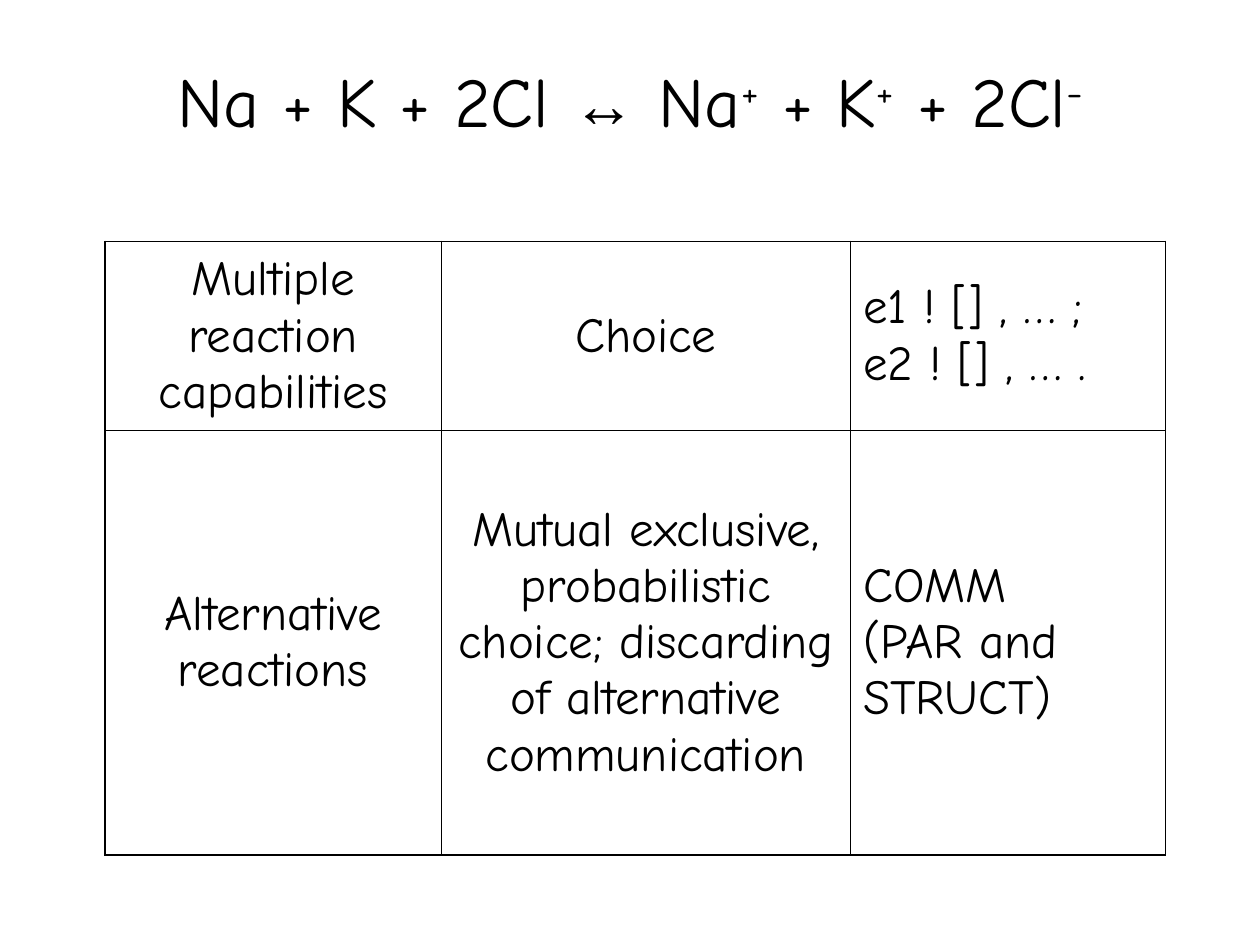
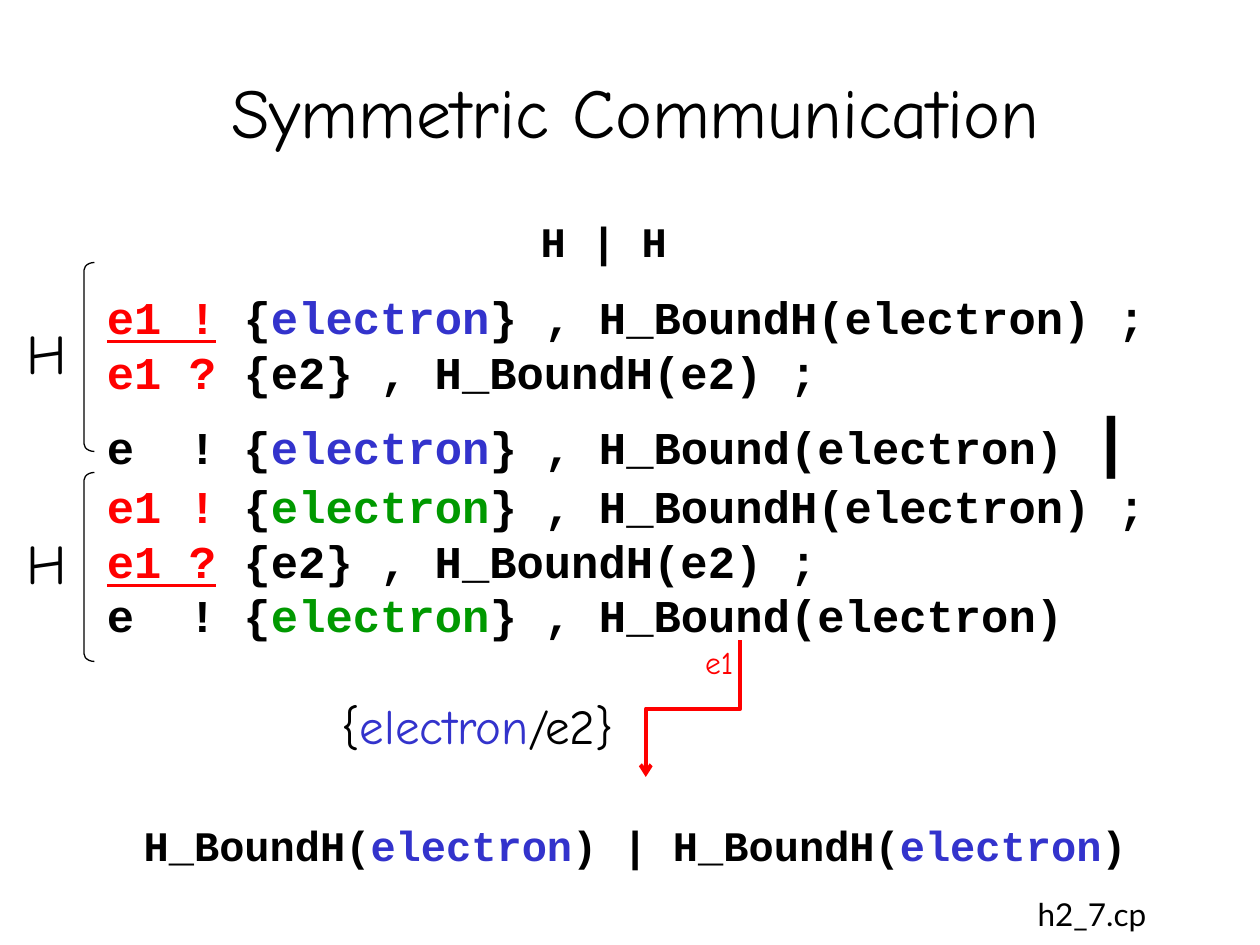
"""Build two slides on reaction choice and symmetric communication."""
import lxml.etree
import pptx
import pptx.dml.color
import pptx.enum.shapes
import pptx.enum.text
import pptx.oxml
import pptx.oxml.ns
import pptx.util

HUES = {"black": "000000", "red": "FF0000", "blue": "3333CC", "green": "009900"}
HAND, MONO, SANS = "Comic Neue", "Courier New", "Lato"
UNIT = pptx.util.Inches(10) / 120
ALIGN = pptx.enum.text.PP_ALIGN
ANCHOR = pptx.enum.text.MSO_ANCHOR


def grid(*cells):
    """Turn counts of grid cells (120 by 90 to a slide) into lengths."""
    return [pptx.util.Emu(round(cell * UNIT)) for cell in cells]


def hue(name):
    """Give the colour that a name stands for."""
    return pptx.dml.color.RGBColor.from_string(HUES[name])


def write(para, parts, size, face=HAND, bold=False, align=ALIGN.CENTER):
    """Fill a paragraph with parts, each a string or (string, *marks)."""
    para.alignment = align
    for part in parts:
        text, *marks = (part,) if isinstance(part, str) else part
        if text == "\n":
            para.add_line_break()
            continue
        run = para.add_run()
        run.text = text
        font = run.font
        font.name, font.size, font.bold = face, pptx.util.Pt(size), bold
        font.color.rgb = hue(next((m for m in marks if m in HUES), "black"))
        if "under" in marks:
            font.underline = True
        if "big" in marks:
            font.size = pptx.util.Pt(38)
        if "arrow" in marks:
            font.name, font.size = "Arial", pptx.util.Pt(36)
        if "sup" in marks:
            font._element.set("baseline", "30000")


def label(slide, box, parts, size, anchor=ANCHOR.MIDDLE, top=0.05, **style):
    """Place a text box on the grid."""
    frame = slide.shapes.add_textbox(*grid(*box)).text_frame
    frame.word_wrap = True
    frame.vertical_anchor = anchor
    frame.margin_top = pptx.util.Inches(top)
    write(frame.paragraphs[0], parts, size, **style)


def title(slide, box, parts):
    """Place a slide title."""
    label(slide, box, parts, 40)


def edge(cell, sides):
    """Draw the borders of a cell, given widths in points by side."""
    props = cell._tc.get_or_add_tcPr()
    for spot, (side, width) in enumerate(sides.items()):
        props.insert(spot, pptx.oxml.parse_xml(
            f'<a:ln{side} {pptx.oxml.ns.nsdecls("a")} w="{pptx.util.Pt(width)}">'
            f'<a:solidFill><a:srgbClr val="{HUES["black"]}"/></a:solidFill>'
            f'</a:ln{side}>'))


def table(slide, spot, cols, rows, texts):
    """Place a ruled table whose last column is set flush left."""
    box = grid(*spot, sum(cols), sum(rows))
    tab = slide.shapes.add_table(len(rows), len(cols), *box).table
    tab.first_row = tab.horz_banding = False
    for col, width in zip(tab.columns, grid(*cols)):
        col.width = width
    for row, height in zip(tab.rows, grid(*rows)):
        row.height = height
    last, foot = len(cols) - 1, len(rows) - 1
    for r, line in enumerate(texts):
        for c, parts in enumerate(line):
            cell = tab.cell(r, c)
            cell.vertical_anchor = ANCHOR.MIDDLE
            cell.fill.background()
            outer = {"L": c == 0, "R": c == last, "T": r == 0, "B": r == foot}
            edge(cell, {s: 1.08 if out else 0.45 for s, out in outer.items()})
            write(cell.text_frame.paragraphs[0], parts, 28,
                  align=ALIGN.LEFT if c == last else ALIGN.CENTER)


def brace(slide, top):
    """Mark a group of code lines with a bracket and the letter H."""
    kind = pptx.enum.shapes.MSO_SHAPE.LEFT_BRACKET
    shape = slide.shapes.add_shape(kind, *grid(8, top, 1, 18))
    shape.adjustments[0] = 0.75
    shape.shadow.inherit = False
    shape.fill.background()
    shape.line.color.rgb = hue("black")
    shape.line.width = pptx.util.Pt(0.75)
    label(slide, (0, top + 2, 9, 13), ["H"], 32)


def elbow(slide, x1, y1, x2, y2):
    """Draw a red bent arrow that leaves and arrives upright."""
    mid, level = (x1 + x2) / 2, (y1 + y2) / 2
    half, rise = (y2 - y1) / 2, (x1 - x2) / 2
    kind = pptx.enum.shapes.MSO_CONNECTOR.ELBOW
    ends = grid(mid - half, level - rise, mid + half, level + rise)
    link = slide.shapes.add_connector(kind, *ends)
    link.line.color.rgb = hue("red")
    link.line.width = pptx.util.Pt(2.25)
    props = link._element.spPr
    props.find(pptx.oxml.ns.qn("a:xfrm")).set("rot", "5400000")
    tail = pptx.oxml.ns.qn("a:tailEnd")
    lxml.etree.SubElement(link.line._get_or_add_ln(), tail, type="arrow")
    lxml.etree.SubElement(props, pptx.oxml.ns.qn("a:effectLst"))


def atom(tint, send=(), get=(), tail=()):
    """List the code lines of one H atom."""
    name = ("electron", tint)
    return [("e1 !", "red", *send), " {", name, "} , H_BoundH(electron) ;", "\n",
            ("e1 ?", "red", *get), " {e2} , H_BoundH(e2) ;", "\n",
            "e  ! {", name, "} , H_Bound(electron)", *tail]


def choice(slide):
    """Fill the slide on alternative reactions."""
    plus = ("+", "sup")
    title(slide, (9, 2, 102, 15),
          ["Na + K + 2Cl ", ("↔", "arrow"), " Na", plus, " + K", plus,
           " + 2Cl", ("-", "sup")])
    table(slide, (10, 23), (32, 39, 30), (18, 40.4), [
        [["Multiple reaction capabilities"], ["Choice"],
         ["e1 ! [] , … ;", "\n", "e2 ! [] , … ."]],
        [["Alternative reactions"],
         ["Mutual exclusive, probabilistic choice; discarding of "
          "alternative communication"],
         ["COMM", "\n", "(PAR and STRUCT)"]]])


def comm(slide):
    """Fill the slide on symmetric communication."""
    name = ("electron", "blue")
    code = {"face": MONO, "bold": True, "top": 0.13}
    title(slide, (5, 3, 111, 15), ["Symmetric Communication"])
    label(slide, (9, 26, 111, 35),
          atom("blue", send=["under"], tail=[" ", ("|", "big"), "\n"])
          + atom("green", get=["under"]),
          26, ANCHOR.TOP, align=ALIGN.LEFT, **code)
    label(slide, (28, 19, 59, 7), ["H | H"], 24, ANCHOR.TOP, **code)
    label(slide, (12.5, 74, 98, 12),
          ["H_BoundH(", name, ") | H_BoundH(", name, ")"],
          24, align=ALIGN.LEFT, **code)
    elbow(slide, 70.5, 61, 61.5, 74)
    label(slide, (65, 60, 7, 6), [("e1", "red")], 18)
    label(slide, (31, 66, 29, 6), ["{", name, "/e2}"], 28)
    for top in (25, 45):
        brace(slide, top)
    label(slide, (88, 84, 32, 6), ["h2_7.cp"], 18, face=SANS)


def main():
    """Build and save the slides."""
    deck = pptx.Presentation()
    deck.slide_width, deck.slide_height = grid(120, 90)
    for fill in (choice, comm):
        fill(deck.slides.add_slide(deck.slide_layouts[6]))
    deck.save("out.pptx")


if __name__ == "__main__":
    main()
